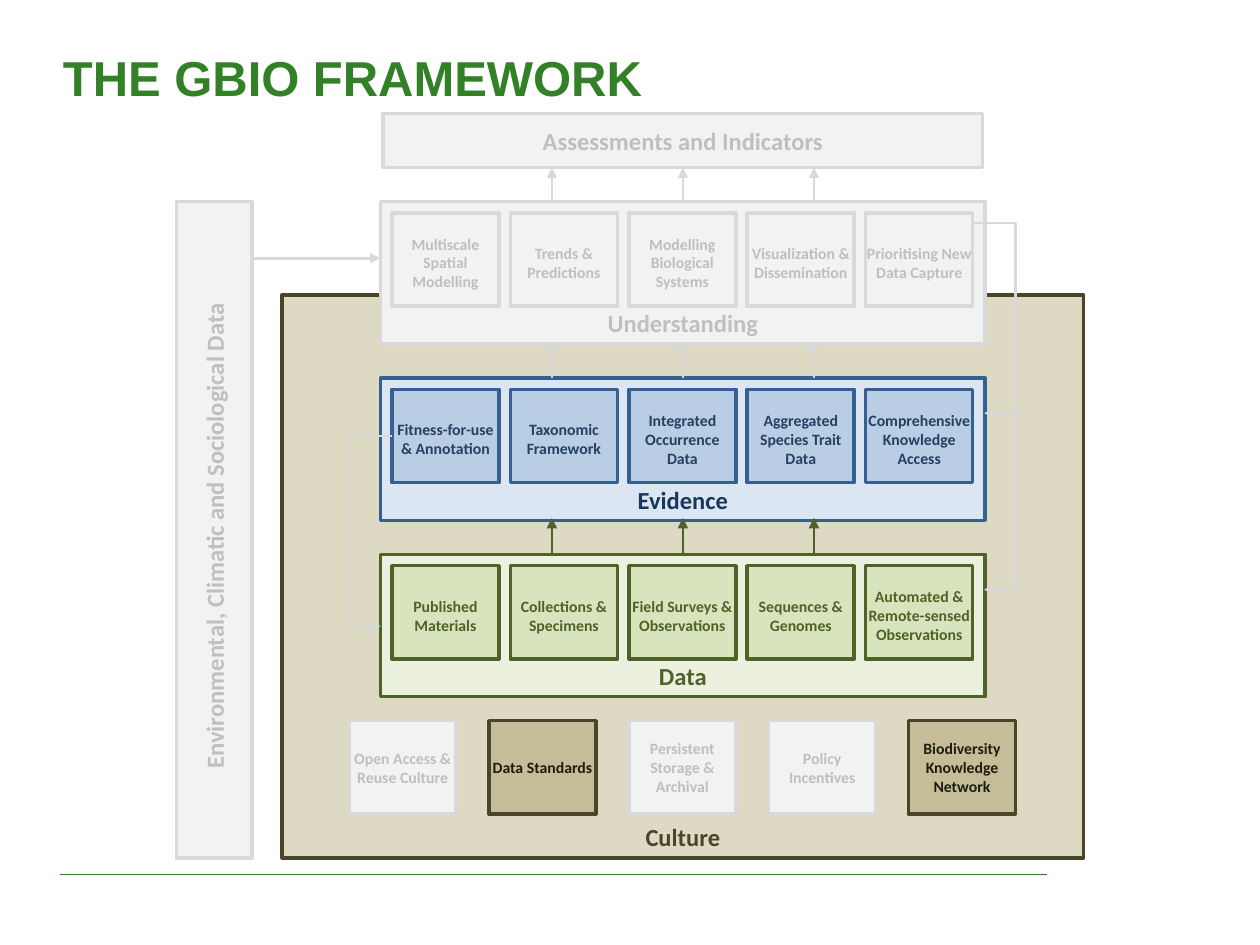
"""Build the GBIO framework slide."""
from lxml import etree
from pptx import Presentation
from pptx import util as u
from pptx.dml.color import RGBColor
from pptx.enum import shapes, text
from pptx.oxml.ns import qn

GREY = ("F2F2F2", "D9D9D9", "BFBFBF")
BLUE_PANEL = ("DCE6F2", "376092", "17375E")
BLUE_CELL = ("B9CDE5", "376092", "254061")
GREEN_PANEL = ("EBF1DE", "4F6228", "4F6228")
GREEN_CELL = ("D7E4BD", "4F6228", "4F6228")
TAN_PANEL = ("DDD9C3", "4A452A", "4A452A")
TAN_CELL = ("C4BD97", "4A452A", "1E1C11")
TITLE_GREEN = "328127"
MIDDLE = text.MSO_ANCHOR.MIDDLE
BOTTOM = text.MSO_ANCHOR.BOTTOM


def color(value):
    return RGBColor.from_string(value)


class FrameworkSlide:
    def __init__(self, slide):
        self.slide = slide
        self.label_font = "Calibri"
        self.title_font = "Arial"
        self.label_size = 14
        self.cell_size = 9

    def set_label(self, shape, words, font, size, ink, margins, anchor):
        frame = shape.text_frame
        frame.word_wrap = True
        frame.vertical_anchor = anchor
        (frame.margin_left, frame.margin_top,
         frame.margin_right, frame.margin_bottom) = map(u.Inches, margins)
        frame.text = words
        run_font = frame.paragraphs[0].runs[0].font
        run_font.name = font
        run_font.size = u.Pt(size)
        run_font.bold = True
        run_font.color.rgb = color(ink)

    def title(self, words):
        shape = self.slide.shapes.add_textbox(0, u.Inches(0.3), u.Inches(10), u.Inches(0.62))
        self.set_label(shape, words, self.title_font, 28, TITLE_GREEN, (0.5, 0.05, 0, 0.05), MIDDLE)

    def box(self, words, area, colors, size=None, anchor=MIDDLE, top=0.05, bottom=0, vertical=False):
        fill, line, ink = colors
        shape = self.slide.shapes.add_shape(shapes.MSO_SHAPE.RECTANGLE, *map(u.Inches, area))
        shape.shadow.inherit = False
        shape.fill.solid()
        shape.fill.fore_color.rgb = color(fill)
        shape.line.color.rgb = color(line)
        shape.line.width = u.Pt(2)
        self.set_label(shape, words, self.label_font, size or self.label_size, ink,
                       (0.01, top, 0.01, bottom), anchor)
        shape.text_frame.paragraphs[0].alignment = text.PP_ALIGN.CENTER
        if vertical:
            shape.element.txBody.bodyPr.set("vert", "vert270")

    def panel(self, words, area, colors):
        self.box(words, area, colors, anchor=BOTTOM, bottom=0.05)

    def cell(self, words, left, top, colors, margin=0.05):
        self.box(words, (left, top, 0.85, 0.74), colors, self.cell_size, top=margin)

    def layer(self, name, top, panel_colors, cell_colors, labels):
        self.panel(name, (3.02, top, 4.8, 1.13), panel_colors)
        for index, label in enumerate(labels):
            self.cell(label, 3.11 + 0.94 * index, top + 0.09, cell_colors)

    def line(self, start, end, ink, width=1.5, arrow=True, bend_x=None):
        kind = shapes.MSO_CONNECTOR.STRAIGHT if bend_x is None else shapes.MSO_CONNECTOR.ELBOW
        connector = self.slide.shapes.add_connector(kind, *map(u.Inches, start + end))
        connector.line.color.rgb = color(ink)
        connector.line.width = u.Pt(width)
        properties = connector.element.spPr
        if arrow:
            etree.SubElement(connector.get_or_add_ln(), qn("a:tailEnd"), type="triangle")
        if bend_x is not None:
            ratio = (bend_x - start[0]) / (end[0] - start[0])
            guides = properties.find(qn("a:prstGeom")).get_or_add_avLst()
            etree.SubElement(guides, qn("a:gd"), name="adj1", fmla=f"val {round(ratio * 100000)}")
        etree.SubElement(properties, qn("a:effectLst"))

    def rising_arrows(self, bottom, ink):
        for x in (4.38, 5.42, 6.46):
            self.line((x, bottom), (x, bottom - 0.28), ink)


def main():
    presentation = Presentation()
    presentation.slide_width = u.Inches(10)
    presentation.slide_height = u.Inches(7.5)
    framework = FrameworkSlide(presentation.slides.add_slide(presentation.slide_layouts[6]))

    framework.line((0.48, 6.94), (8.31, 6.94), TITLE_GREEN, width=0.25, arrow=False)
    framework.title("THE GBIO FRAMEWORK")
    framework.panel("Culture", (2.24, 2.34, 6.36, 4.47), TAN_PANEL)

    layers = [
        ("Evidence", 3, BLUE_PANEL, BLUE_CELL,
         ["Fitness-for-use & Annotation", "Taxonomic Framework", "Integrated Occurrence Data",
          "Aggregated Species Trait Data", "Comprehensive Knowledge Access"]),
        ("Understanding", 1.6, GREY, GREY,
         ["Multiscale Spatial Modelling", "Trends & Predictions", "Modelling Biological Systems",
          "Visualization & Dissemination", "Prioritising New Data Capture"]),
        ("Data", 4.4, GREEN_PANEL, GREEN_CELL,
         ["Published Materials", "Collections & Specimens", "Field Surveys & Observations",
          "Sequences & Genomes", "Automated & Remote-sensed Observations"]),
    ]
    for layer in layers:
        framework.layer(*layer)

    grey_line = GREY[1]
    for y in (4.68, 3.28):
        framework.line((7.72, 1.77), (7.81, y), grey_line, bend_x=8.06)
    framework.line((3.11, 3.46), (3.02, 4.97), grey_line, bend_x=2.77)
    for bottom, ink in ((4.39, GREEN_PANEL[1]), (3, grey_line), (1.61, grey_line)):
        framework.rising_arrows(bottom, ink)

    framework.box("Assessments and Indicators", (3.04, 0.9, 4.76, 0.43), GREY, top=0)
    framework.box("Environmental, Climatic and Sociological Data", (1.4, 1.6, 0.6, 5.21), GREY,
                  vertical=True)
    framework.line((2.01, 2.05), (3.02, 2.05), grey_line)

    culture = [
        ("Open Access & Reuse Culture", GREY),
        ("Data Standards", TAN_CELL),
        ("Persistent Storage & Archival", GREY),
        ("Policy Incentives", GREY),
        ("Biodiversity Knowledge Network", TAN_CELL),
    ]
    for index, (label, colors) in enumerate(culture):
        framework.cell(label, 2.77 + 1.11 * index, 5.72, colors, margin=0)

    presentation.save("out.pptx")


if __name__ == "__main__":
    main()
